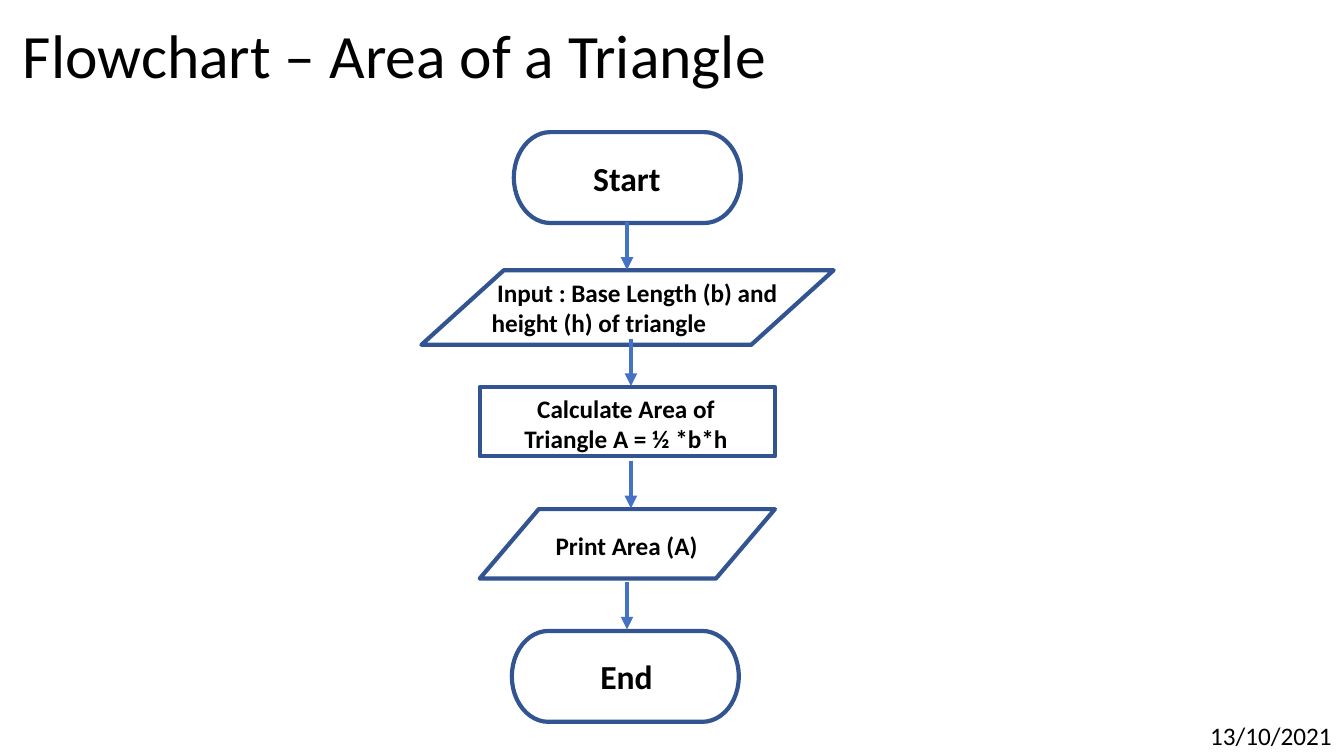
from lxml.etree import SubElement
from pptx import Presentation
from pptx.dml.color import RGBColor
from pptx.enum.shapes import MSO_CONNECTOR, MSO_SHAPE
from pptx.enum.text import MSO_ANCHOR, PP_ALIGN
from pptx.oxml.ns import qn
from pptx.util import Cm, Pt

COLORS = {"outline": "325491", "arrow": "4472C4", "text": "000000"}
LINE_WIDTH = Pt(3)

deck = Presentation()
deck.slide_width, deck.slide_height = Cm(33.87), Cm(19.05)
page = deck.slides.add_slide(deck.slide_layouts[6])


def style_line(line, color):
    line.color.rgb = RGBColor.from_string(COLORS[color])
    line.width = LINE_WIDTH


def add_label(text, place, size, bold=True, align=PP_ALIGN.CENTER, wrap=True):
    """Add a one-paragraph text box; place is left, top, width, height in cm."""
    box = page.shapes.add_textbox(*map(Cm, place))
    box.text_frame.word_wrap = wrap
    para = box.text_frame.paragraphs[0]
    para.alignment = align
    span = para.add_run()
    span.text = text
    font_format = {"name": "Calibri", "size": Pt(size), "bold": bold}
    for name, value in font_format.items():
        setattr(span.font, name, value)
    span.font.color.rgb = RGBColor.from_string(COLORS["text"])
    return box


title = add_label("Flowchart – Area of a Triangle", (0.33, -0.36, 29.21, 3.68),
                  44, bold=False, align=PP_ALIGN.LEFT)
title.text_frame.vertical_anchor = MSO_ANCHOR.MIDDLE
title.text_frame.paragraphs[0].line_spacing = 0.9

# Flowchart symbols: preset, then left, top, width, height
symbols = [
    (MSO_SHAPE.FLOWCHART_TERMINATOR, (12.95, 3.33, 5.72, 2.29)),
    (MSO_SHAPE.FLOWCHART_DATA, (10.62, 6.81, 10.39, 1.88)),
    (MSO_SHAPE.FLOWCHART_PROCESS, (12.09, 9.75, 7.44, 1.75)),
    (MSO_SHAPE.FLOWCHART_DATA, (12.09, 12.83, 7.44, 1.75)),
    (MSO_SHAPE.FLOWCHART_TERMINATOR, (12.9, 15.9, 5.72, 2.29)),
]
for preset, place in symbols:
    symbol = page.shapes.add_shape(preset, *map(Cm, place))
    symbol.shadow.inherit = False
    symbol.fill.background()
    style_line(symbol.line, "outline")

# Arrows between the steps: x, top
arrow_length = 1.2
for x, top in [(15.8, 5.6), (15.9, 8.53), (15.9, 11.61), (15.8, 14.66)]:
    arrow = page.shapes.add_connector(
        MSO_CONNECTOR.STRAIGHT, Cm(x), Cm(top), Cm(x), Cm(top + arrow_length))
    style_line(arrow.line, "arrow")
    SubElement(arrow.line._get_or_add_ln(), qn("a:tailEnd"), type="triangle")
    SubElement(arrow._element.spPr, qn("a:effectLst"))

add_label("Start", (13.36, 3.86, 4.88, 1.27), 24)
input_box = add_label("Input : Base Length (b) and height (h) of triangle",
                      (12.14, 6.86, 9.12, 1.8), 18, align=PP_ALIGN.LEFT)
first_line = input_box.text_frame.paragraphs[0]._p.get_or_add_pPr()
first_line.set("indent", str(Cm(0.14)))
add_label("Calculate Area of Triangle A = ½ *b*h", (12.27, 9.78, 7.01, 1.8), 18)
add_label("Print Area (A)", (13.06, 13.23, 5.46, 1.02), 18)
add_label("End", (13.06, 16.41, 5.46, 1.27), 24)
add_label("13/10/2021", (30.25, 18.03, 3.61, 1.02), 18,
          bold=False, align=PP_ALIGN.LEFT, wrap=False)

deck.save("out.pptx")
